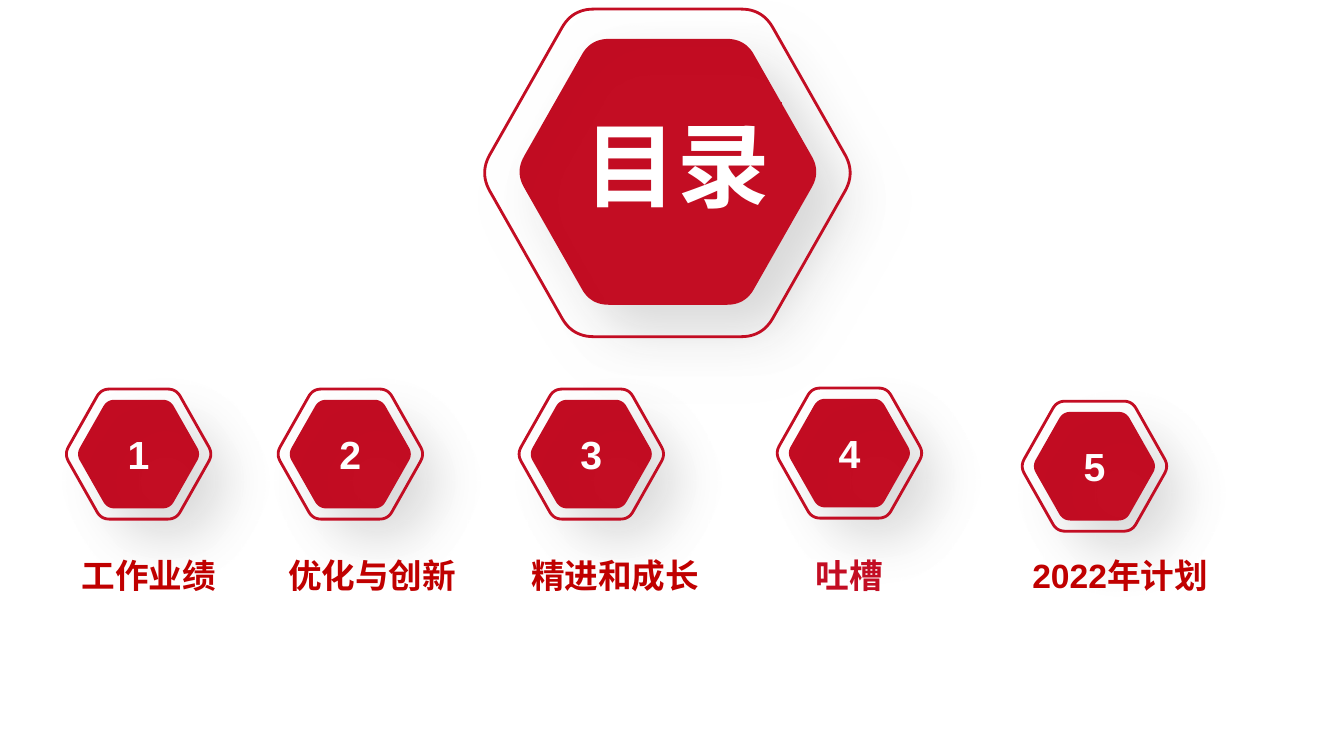
from lxml import etree
from pptx import Presentation
from pptx import util as u
from pptx.dml.color import RGBColor
from pptx.enum import shapes, text
from pptx.oxml.ns import qn

RED = "C30D23"
DARK = "C00000"
CUT = 0.112
HEX = [(0.24, 0), (0.76, 0), (1.015, 0.5), (0.76, 1), (0.24, 1), (-0.015, 0.5)]
ITEMS = [
    ("1", "工作业绩", 0.66, 3.86, 0.71, 1.53, DARK),
    ("2", "优化与创新", 2.76, 3.86, 2.76, 1.87, DARK),
    ("3", "精进和成长", 5.15, 3.86, 5.17, 1.87, DARK),
    ("4", "吐槽", 7.71, 3.85, 7.99, 0.87, RED),
    ("5", "2022年计划", 10.14, 3.98, 10.14, 1.94, DARK),
]


def color(code):
    """Turn a hex string into a colour."""
    return RGBColor.from_string(code)


def shade(shape):
    """Give a shape the soft shadow to its lower right."""
    shape.shadow.inherit = False
    effect = shape._element.spPr.find(qn("a:effectLst"))
    outer = etree.SubElement(
        effect, qn("a:outerShdw"), blurRad=str(u.Pt(38)), dist=str(u.Pt(27)),
        dir="2700000", algn="tl", rotWithShape="0")
    tint = etree.SubElement(outer, qn("a:srgbClr"), val="000000")
    etree.SubElement(tint, qn("a:alpha"), val="15000")


def outline():
    """Return the points of a rounded hexagon in a unit box."""
    points = []
    for i, now in enumerate(HEX):
        prev, nxt = HEX[i - 1], HEX[(i + 1) % len(HEX)]
        start = [n + CUT * (p - n) for n, p in zip(now, prev)]
        end = [n + CUT * (p - n) for n, p in zip(now, nxt)]
        for step in range(13):
            t = step / 12
            points.append([(1 - t) ** 2 * a + 2 * t * (1 - t) * b + t * t * c
                           for a, b, c in zip(start, now, end)])
    return points


def hexagon(slide, left, top, width, height, fill=None):
    """Draw one rounded hexagon, filled or as a ring."""
    dots = [(u.Inches(left + x * width), u.Inches(top + y * height))
            for x, y in outline()]
    form = slide.shapes.build_freeform(*dots[0])
    form.add_line_segments(dots[1:], close=True)
    shape = form.convert_to_shape()
    if fill:
        shape.fill.solid()
        shape.fill.fore_color.rgb = color(fill)
    else:
        shape.fill.background()
    shape.line.color.rgb = color(RED)
    shape.line.width = u.Pt(2)
    shade(shape)
    return shape


def write(shape, words, size, code, align=text.PP_ALIGN.LEFT):
    """Put one bold run into a shape."""
    para = shape.text_frame.paragraphs[0]
    para.alignment = align
    run = para.add_run()
    run.text = words
    run.font.size = u.Pt(size)
    run.font.bold = True
    run.font.name = "Arial"
    run.font.color.rgb = color(code)


def title(slide, left, top, width, height):
    """Draw the large badge with the heading."""
    hexagon(slide, left + 0.36, top + 0.31, 2.91, 2.61, RED)
    box = slide.shapes.add_shape(
        shapes.MSO_SHAPE.RECTANGLE, u.Inches(left + 0.89),
        u.Inches(top + 0.93), u.Inches(2.05), u.Inches(1.21))
    box.shadow.inherit = False
    box.fill.background()
    box.line.color.rgb = color(RED)
    box.line.width = u.Pt(0.75)
    frame = box.text_frame
    frame.word_wrap = False
    frame.auto_size = text.MSO_AUTO_SIZE.SHAPE_TO_FIT_TEXT
    frame.vertical_anchor = text.MSO_ANCHOR.TOP
    write(box, "目录", 66, "FFFFFF")
    hexagon(slide, left, top, width, height)


def badge(slide, left, top, number):
    """Draw a small numbered badge with its ring."""
    core = hexagon(slide, left + 0.13, top + 0.12, 1.17, 1.05, RED)
    core.text_frame.vertical_anchor = text.MSO_ANCHOR.MIDDLE
    write(core, number, 28, "FFFFFF", text.PP_ALIGN.CENTER)
    hexagon(slide, left, top, 1.43, 1.29)


def label(slide, left, width, words, code, wrap):
    """Write the caption under a badge."""
    box = slide.shapes.add_textbox(
        u.Inches(left), u.Inches(5.46), u.Inches(width), u.Inches(0.5))
    box.text_frame.word_wrap = wrap
    box.text_frame.auto_size = text.MSO_AUTO_SIZE.SHAPE_TO_FIT_TEXT
    write(box, words, 24, code)


def main():
    """Build the contents slide and save it."""
    deck = Presentation()
    deck.slide_width = u.Inches(13.33)
    deck.slide_height = u.Inches(7.5)
    slide = deck.slides.add_slide(deck.slide_layouts[6])
    title(slide, 4.81, 0.09, 3.62, 3.25)
    for number, words, left, top, edge, width, code in ITEMS:
        badge(slide, left, top, number)
        label(slide, edge, width, words, code, number == "5")
    deck.save("out.pptx")


if __name__ == "__main__":
    main()
